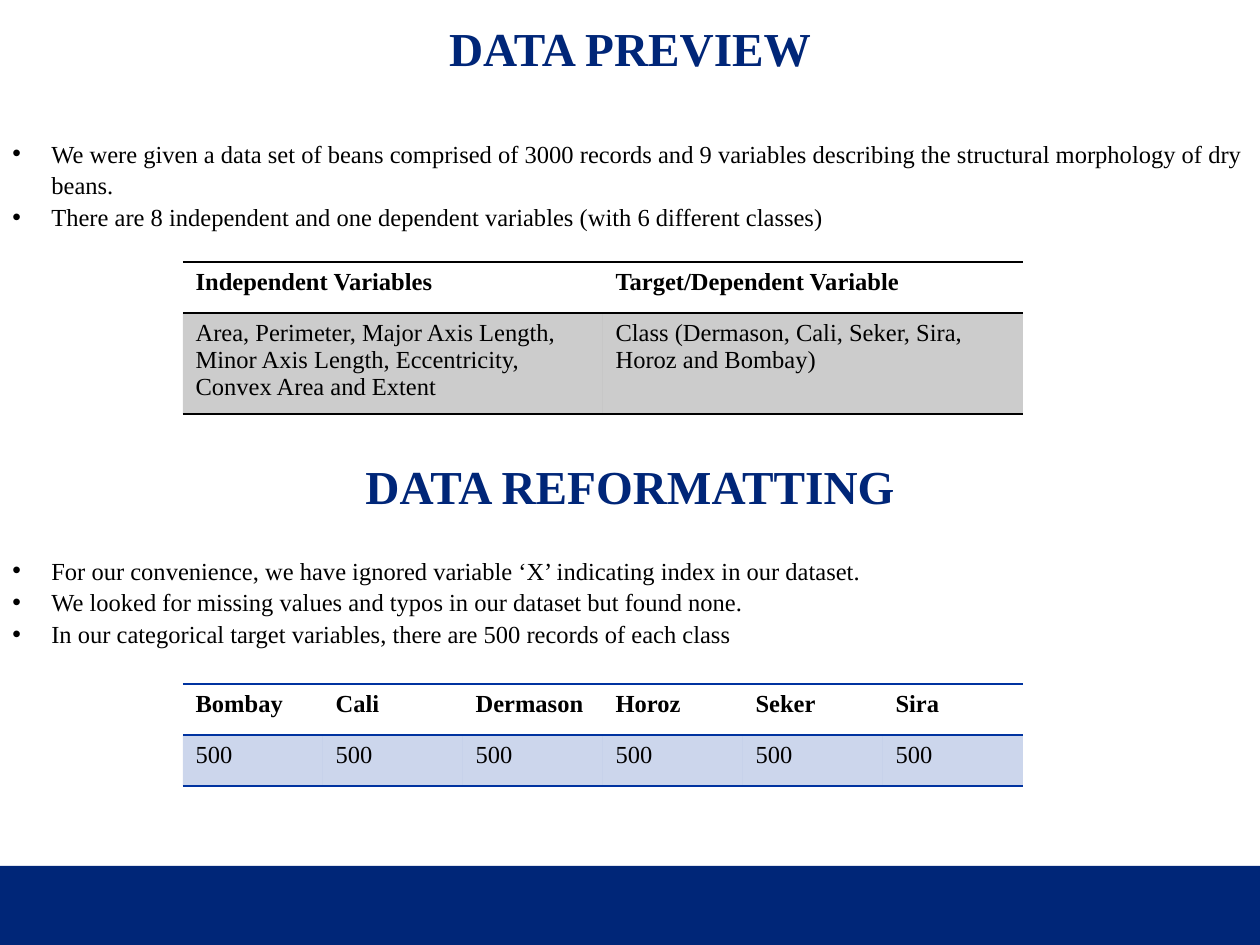
import dataclasses

import lxml.etree
import pptx
import pptx.dml.color
import pptx.enum.shapes
import pptx.enum.text
import pptx.oxml
import pptx.oxml.ns
import pptx.util

SCALE = 914400 / 126
PLAIN_STYLE = "{2D5ABB26-0587-4C30-8999-92F81FD0307C}"


@dataclasses.dataclass(frozen=True)
class Theme:
    font: str = "Times New Roman"
    navy: str = "002678"
    blue: str = "0033A0"
    black: str = "000000"
    head: int = 27
    body: int = 14
    rule: int = 1
    tint: int = 20
    lead: float = 1.08


THEME = Theme()


def px(size):
    return pptx.util.Emu(round(size * SCALE))


def rgb(code):
    return pptx.dml.color.RGBColor.from_string(code)


def style(para, size, color, bold=False):
    font = para.font
    font.name, font.size, font.bold = THEME.font, pptx.util.Pt(size), bold
    font.color.rgb = rgb(color)


def place(shape, box):
    shape.left, shape.top, shape.width, shape.height = map(px, box)


def add_text(slide, box):
    frame = slide.shapes.add_textbox(*map(px, box)).text_frame
    frame.word_wrap = True
    return frame


def set_head(frame, text):
    frame.text = text
    para = frame.paragraphs[0]
    para.alignment = pptx.enum.text.PP_ALIGN.CENTER
    style(para, THEME.head, THEME.navy, True)
    return para


def set_title(slide, box, text):
    title = slide.shapes.title
    place(title, box)
    frame = title.text_frame
    para = set_head(frame, text)
    para.line_spacing = 0.9
    frame.auto_size = pptx.enum.text.MSO_AUTO_SIZE.NONE
    frame.vertical_anchor = pptx.enum.text.MSO_ANCHOR.BOTTOM
    frame.margin_left = frame.margin_right = px(9)
    frame.margin_top = frame.margin_bottom = px(5)


def add_list(slide, box, items):
    frame = add_text(slide, box)
    frame.text = "\n".join(items)
    for para in frame.paragraphs:
        style(para, THEME.body, THEME.black)
        para.line_spacing = THEME.lead
        props = para._p.get_or_add_pPr()
        props.set("marL", str(px(39)))
        props.set("indent", str(-px(39)))
        for tag, key, val in (("buFont", "typeface", "Arial"), ("buChar", "char", "•")):
            mark = lxml.etree.SubElement(props, pptx.oxml.ns.qn(f"a:{tag}"))
            mark.set(key, val)
            props.insert_element_before(mark, "a:tabLst", "a:defRPr", "a:extLst")


def add_rule(cell, side, spot, color):
    width = pptx.util.Pt(THEME.rule)
    line = pptx.oxml.parse_xml(
        f'<a:{side} {pptx.oxml.ns.nsdecls("a")} w="{width}"><a:solidFill>'
        f'<a:srgbClr val="{color}"/></a:solidFill></a:{side}>'
    )
    cell._tc.get_or_add_tcPr().insert(spot, line)


def fill_cell(cell, color):
    cell.fill.solid()
    cell.fill.fore_color.rgb = rgb(color)
    tone = cell._tc.tcPr.find(".//" + pptx.oxml.ns.qn("a:srgbClr"))
    alpha = lxml.etree.SubElement(tone, pptx.oxml.ns.qn("a:alpha"))
    alpha.set("val", str(THEME.tint * 1000))


def add_grid(slide, spot, width, highs, rows, color):
    box = (*spot, width, sum(highs))
    frame = slide.shapes.add_table(len(rows), len(rows[0]), *map(px, box))
    table = frame.table
    table.horz_banding = False
    table._tbl.tblPr.find(pptx.oxml.ns.qn("a:tableStyleId")).text = PLAIN_STYLE
    for col in table.columns:
        col.width = px(width / len(rows[0]))
    for r, (high, texts) in enumerate(zip(highs, rows)):
        table.rows[r].height = px(high)
        for c, text in enumerate(texts):
            cell = table.cell(r, c)
            cell.text = text
            style(cell.text_frame.paragraphs[0], THEME.body, THEME.black, r == 0)
            if r:
                fill_cell(cell, color)
            else:
                cell.fill.background()
            add_rule(cell, "lnT", 0, color)
            add_rule(cell, "lnB", 1, color)


def add_band(slide, box):
    kind = pptx.enum.shapes.MSO_SHAPE.RECTANGLE
    band = slide.shapes.add_shape(kind, *map(px, box))
    band.shadow.inherit = False
    band.fill.solid()
    band.fill.fore_color.rgb = rgb(THEME.navy)
    band.line.fill.background()


def main():
    """Build the bean data slide and save it."""
    deck = pptx.Presentation()
    deck.slide_width, deck.slide_height = px(1260), px(945)
    slide = deck.slides.add_slide(deck.slide_layouts[5])
    add_band(slide, (0, 866, 1260, 79))
    set_title(slide, (0, 0, 1260, 82), "DATA PREVIEW")
    add_list(slide, (0, 130, 1276, 161), [
        "We were given a data set of beans comprised of 3000 records and 9 variables "
        "describing the structural morphology of dry beans.",
        "There are 8 independent and one dependent variables (with 6 different classes)",
    ])
    add_grid(slide, (183, 262), 840, (51, 101), [
        ("Independent Variables", "Target/Dependent Variable"),
        ("Area, Perimeter, Major Axis Length, Minor Axis Length, Eccentricity, "
         "Convex Area and Extent",
         "Class (Dermason, Cali, Seker, Sira, Horoz and Bombay)"),
    ], THEME.black)
    set_head(add_text(slide, (0, 451, 1260, 72)), "DATA REFORMATTING")
    add_list(slide, (0, 547, 1260, 131), [
        "For our convenience, we have ignored variable ‘X’ indicating index in our dataset.",
        "We looked for missing values and typos in our dataset but found none.",
        "In our categorical target variables, there are 500 records of each class",
    ])
    names = ("Bombay", "Cali", "Dermason", "Horoz", "Seker", "Sira")
    add_grid(slide, (183, 684), 840, (51, 51), [names, ["500"] * len(names)], THEME.blue)
    deck.save("out.pptx")


if __name__ == "__main__":
    main()
